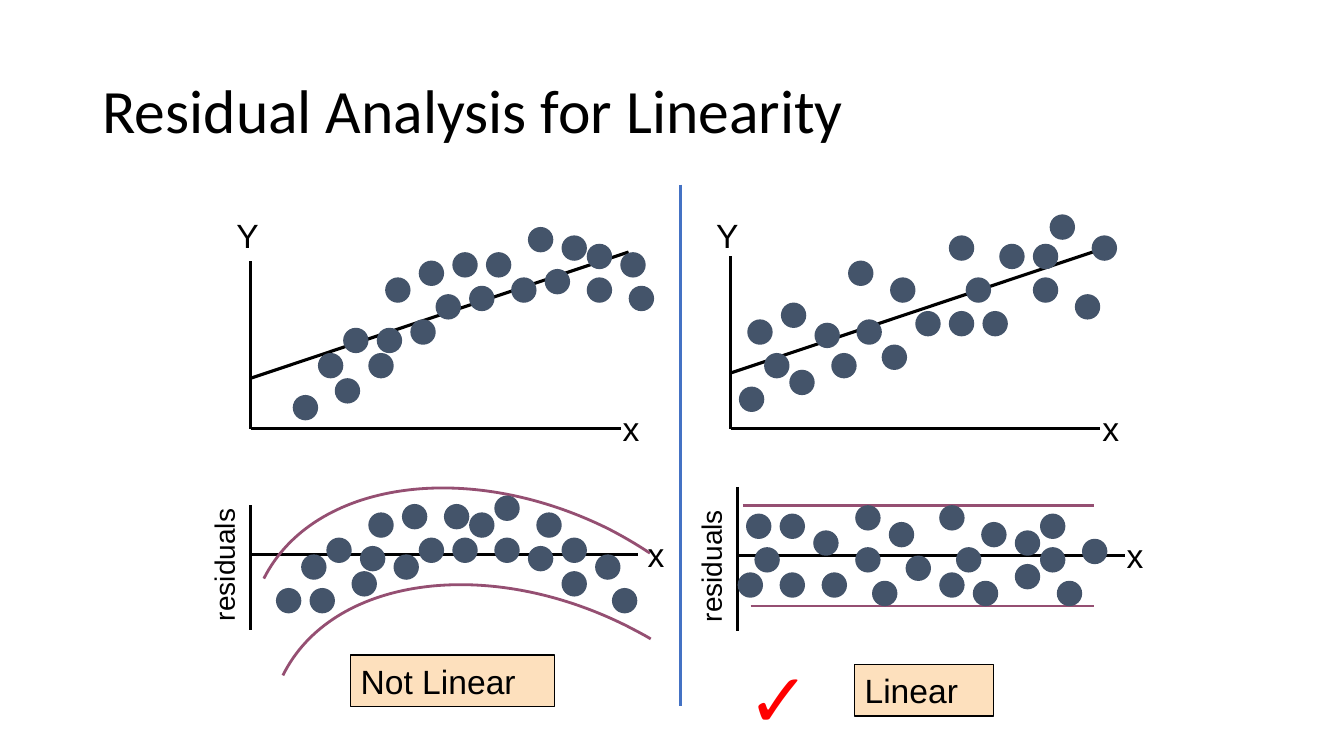
from lxml import etree
from pptx import Presentation
from pptx.dml.color import RGBColor
from pptx.enum.shapes import MSO_CONNECTOR, MSO_SHAPE
from pptx.enum.text import MSO_ANCHOR, PP_ALIGN
from pptx.oxml.ns import qn
from pptx.util import Cm, Pt

STRAIGHT = MSO_CONNECTOR.STRAIGHT
ELLIPSE, RECTANGLE = MSO_SHAPE.OVAL, MSO_SHAPE.RECTANGLE
LEFT, MIDDLE = PP_ALIGN.LEFT, MSO_ANCHOR.MIDDLE

BLACK, DOT, BAND, BOX = "000000", "44546A", "954F72", "FDE0BD"
DIVIDER, CHECK = "4472C4", "FF0000"
GRID = 2.54 / 12  # pitch of the dot grid, in cm
DOT_SIZE = 0.64

# Dots as (column, row) on the grid, counted from the axis origin
CURVED_DATA = [
    (5, -4), (10, -6), (28, -21), (31, -18), (37, -23), (14, -9), (35, -19),
    (40, -18), (40, -22), (44, -21), (33, -24), (22, -16), (24, -21), (20, -20),
    (8, -9), (11, -12), (15, -12), (26, -17), (16, -18), (45, -17), (19, -13)]
CURVED_RESIDUALS = [
    (3, 4), (7, 4), (26, -5), (29, -7), (33, -1), (12, 2), (34, -5),
    (37, 2), (37, -2), (41, 0), (29, -2), (20, -2), (23, -6), (18, -6),
    (6, 0), (9, -2), (13, -1), (24, -2), (14, -5), (43, 4), (17, 0)]
LINEAR_DATA = [
    (1, -5), (4, -9), (26, -23), (28, -18), (36, -22), (7, -7), (30, -14),
    (36, -18), (38, -25.5), (32, -22), (18, -10), (19, -18), (14, -20),
    (2, -13), (6, -15), (10, -12.6), (22, -14), (15, -13), (41, -16),
    (12, -9), (43, -23), (26, -14)]
LINEAR_RESIDUALS = [
    (9, -3), (5, -5), (0, 2), (2, -1), (1, -5), (14, -1), (14, -6), (5, 2),
    (24, -6), (18, -4), (16, 3), (10, 2), (33, -3), (24, 2), (20, 0), (33, 1),
    (26, -1), (28, 3), (29, -4), (38, 3), (36, -5), (41, -2), (36, -1)]

# Bands in cm from the axis origin: start, then three points per Bézier piece
CURVED_BANDS = [
    [(0.33, 0.61), (1.57, -1.85), (5.46, -2.41), (9.02, -0.64),
     (9.37, -0.46), (9.73, -0.25), (10.06, -0.03)],
    [(0.81, 3.05), (2.03, 0.58), (5.92, 0.03), (9.47, 1.8),
     (9.68, 1.91), (9.88, 2.01), (10.08, 2.13)]]
LINEAR_BANDS = [[(0.13, -1.27), (8.99, -1.27)], [(0.33, 1.27), (8.99, 1.27)]]


def color(hex_value):
    return RGBColor.from_string(hex_value)


def add_line(slide, x1, y1, x2, y2, line_color=BLACK, width=2):
    line = slide.shapes.add_connector(STRAIGHT, Cm(x1), Cm(y1), Cm(x2), Cm(y2))
    line.line.color.rgb = color(line_color)
    line.line.width = Pt(width)
    etree.SubElement(line._element.spPr, qn("a:effectLst"))


def add_curve(slide, left, top, points):
    """Draw a Bézier curve through every third point."""
    corners = [(Cm(left + x), Cm(top + y)) for x, y in points]
    builder = slide.shapes.build_freeform(*corners[0])
    builder.add_line_segments(corners[1:], close=False)
    curve = builder.convert_to_shape()
    curve.shadow.inherit = False
    curve.fill.background()
    curve.line.color.rgb = color(BAND)
    curve.line.width = Pt(2)
    outline = curve._element.find(".//" + qn("a:path"))
    segments = outline.findall(qn("a:lnTo"))
    for start in range(0, len(segments), 3):
        bezier = etree.SubElement(outline, qn("a:cubicBezTo"))
        for segment in segments[start:start + 3]:
            bezier.append(segment[0])
            outline.remove(segment)


def add_dots(slide, left, top, cells):
    for column, row in cells:
        dot = slide.shapes.add_shape(
            ELLIPSE, Cm(left + column * GRID), Cm(top + row * GRID),
            Cm(DOT_SIZE), Cm(DOT_SIZE))
        dot.shadow.inherit = False
        dot.fill.solid()
        dot.fill.fore_color.rgb = color(DOT)
        dot.line.fill.background()


def write(frame, text, size, text_color=BLACK, wrap=True):
    frame.text = text
    frame.word_wrap = wrap
    paragraph = frame.paragraphs[0]
    paragraph.alignment = LEFT
    paragraph.font.size = Pt(size)
    paragraph.font.name = "Arial"
    paragraph.font.color.rgb = color(text_color)


def add_label(slide, left, top, width, height, text, size=24,
              text_color=BLACK, rotation=0, wrap=True):
    label = slide.shapes.add_textbox(Cm(left), Cm(top), Cm(width), Cm(height))
    label.rotation = rotation
    write(label.text_frame, text, size, text_color, wrap)


def add_title(slide, left, top, width, height):
    title = slide.shapes.title
    title.left, title.top = Cm(left), Cm(top)
    title.width, title.height = Cm(width), Cm(height)
    title.text_frame.text = "Residual Analysis for Linearity"
    title.text_frame.vertical_anchor = MIDDLE
    paragraph = title.text_frame.paragraphs[0]
    paragraph.alignment = LEFT
    paragraph.line_spacing = 0.9
    paragraph.font.size = Pt(44)
    paragraph.font.name = "Calibri"
    paragraph.font.color.rgb = color(BLACK)


def add_scatter(slide, left, base, axis_height, intercept, cells):
    """Draw the data and fitted line, with the axis origin at (left, base)."""
    add_line(slide, left, base - axis_height, left, base)
    add_line(slide, left, base, left + 9.32, base)
    fit_start = base - intercept
    add_line(slide, left, fit_start, left + 9.52, fit_start - 3.18, width=2.25)
    add_dots(slide, left, base, cells)
    add_label(slide, left - 0.61, base - 5.51, 1.07, 1.27, "Y", wrap=False)
    add_label(slide, left + 9.12, base - 0.64, 1.2, 1.27, "x")


def add_residuals(slide, left, zero, axis_height, x_label, bands, cells):
    """Draw residuals around the zero line that starts at (left, zero)."""
    add_line(slide, left, zero - axis_height, left, zero + 1.9)
    add_line(slide, left, zero, left + 9.75, zero)
    for band in bands:
        if len(band) == 2:
            (x1, y1), (x2, y2) = band
            add_line(slide, left + x1, zero + y1, left + x2, zero + y2, BAND)
        else:
            add_curve(slide, left, zero, band)
    add_dots(slide, left, zero, cells)
    add_label(slide, left + x_label, zero - 0.64, 1.1, 1.27, "x")
    add_label(slide, left - 2.5, zero - 0.43, 3.63, 1.09, "residuals",
              size=20, rotation=270)


def add_verdict(slide, left, top, width, height, text):
    verdict = slide.shapes.add_shape(
        RECTANGLE, Cm(left), Cm(top), Cm(width), Cm(height))
    verdict.shadow.inherit = False
    verdict.fill.solid()
    verdict.fill.fore_color.rgb = color(BOX)
    verdict.line.color.rgb = color(BLACK)
    verdict.line.width = Pt(1)
    write(verdict.text_frame, text, 24)


def main():
    deck = Presentation()
    deck.slide_width, deck.slide_height = Cm(33.87), Cm(19.05)
    slide = deck.slides.add_slide(deck.slide_layouts[5])

    add_title(slide, 2.33, 1.01, 29.21, 3.68)

    add_residuals(slide, 6.32, 13.97, 1.24, 9.75, CURVED_BANDS, CURVED_RESIDUALS)
    add_scatter(slide, 6.32, 10.8, 4.22, 1.27, CURVED_DATA)
    add_verdict(slide, 8.84, 16.51, 5.13, 1.3, "Not Linear")

    add_residuals(slide, 18.59, 14, 1.73, 9.55, LINEAR_BANDS, LINEAR_RESIDUALS)
    add_scatter(slide, 18.41, 10.8, 4.34, 1.4, LINEAR_DATA)
    add_verdict(slide, 21.54, 16.74, 3.5, 1.3, "Linear")
    add_label(slide, 18.59, 16.31, 3.63, 2.57, "✓", size=54, text_color=CHECK)

    add_line(slide, 17.15, 4.65, 17.15, 17.78, DIVIDER, 2.25)
    deck.save("out.pptx")


if __name__ == "__main__":
    main()
